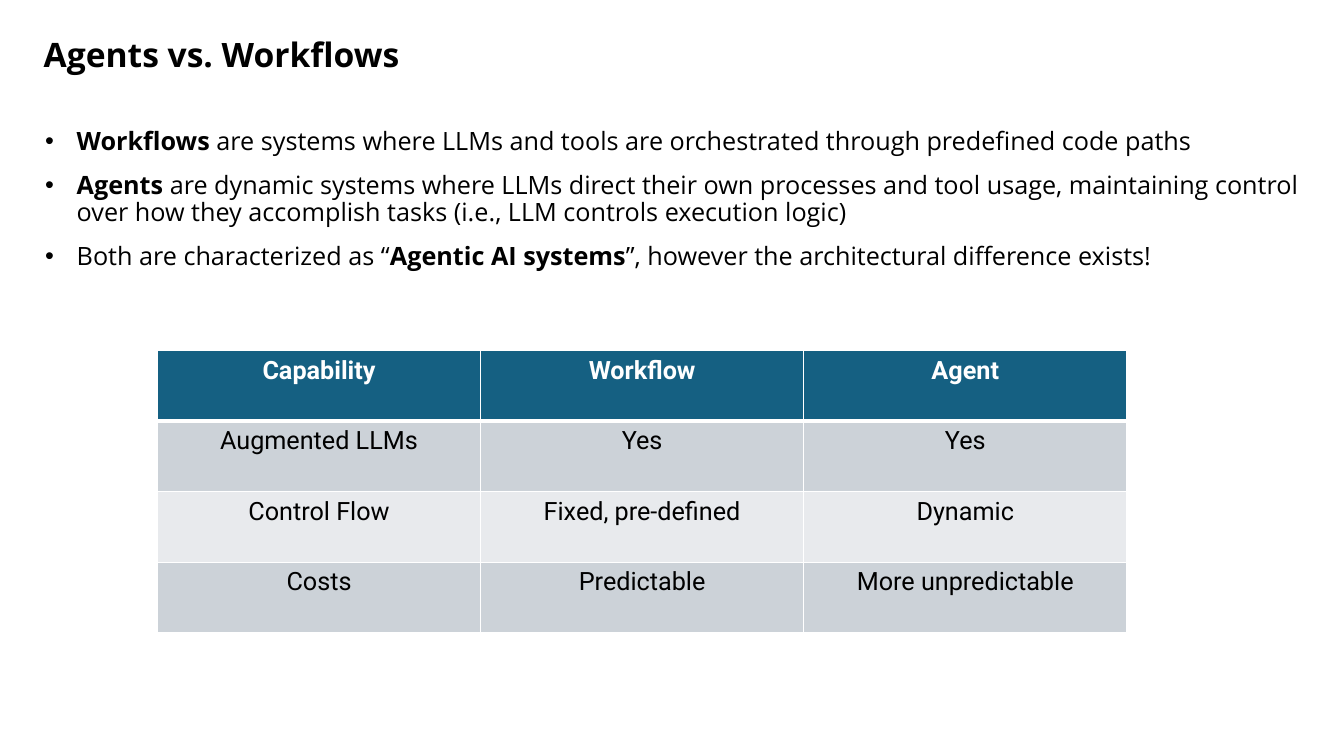
from lxml import etree
from pptx import Presentation, util as u
from pptx.dml.color import RGBColor
from pptx.enum import text
from pptx.oxml import ns

HUES = {"ink": "000000", "white": "FFFFFF", "head": "156082",
        "dark": "CCD2D8", "light": "E8EAED"}


def style(font, face, size, hue, bold=None):
    font.name, font.size, font.bold = face, u.Pt(size), bold
    font.color.rgb = RGBColor.from_string(HUES[hue])


def border(cell, side, width):
    props = cell._tc.get_or_add_tcPr()
    line = etree.SubElement(props, ns.qn("a:" + side), w=str(u.Pt(width)))
    fill = etree.SubElement(line, ns.qn("a:solidFill"))
    etree.SubElement(fill, ns.qn("a:srgbClr"), val=HUES["white"])


deck = Presentation()
deck.slide_width, deck.slide_height = u.Pt(960), u.Pt(540)
slide = deck.slides.add_slide(deck.slide_layouts[5])

# Title
title = slide.shapes.title
title.left, title.top = u.Pt(24), u.Pt(24)
title.width, title.height = u.Pt(924), u.Pt(36)
frame = title.text_frame
frame.text = "Agents vs. Workflows"
frame.auto_size = text.MSO_AUTO_SIZE.NONE
frame.vertical_anchor = text.MSO_ANCHOR.TOP
para = frame.paragraphs[0]
para.alignment = text.PP_ALIGN.LEFT
para.line_spacing = 0.9
style(para.font, "Open Sans", 24, "ink", True)

# Bullets: each is a list of (words, bold) runs
points = [
    [("Workflows ", True),
     ("are systems where LLMs and tools are orchestrated through "
      "predefined code paths", False)],
    [("Agents ", True),
     ("are dynamic systems where LLMs direct their own processes and tool "
      "usage, maintaining control over how they accomplish tasks (i.e., LLM "
      "controls execution logic)", False)],
    [("Both are characterized as “", False), ("Agentic AI systems", True),
     ("”, however the architectural difference exists!", False)],
]
box = slide.shapes.add_textbox(u.Pt(25.2), u.Pt(88.5), u.Pt(910), u.Pt(119))
frame = box.text_frame
frame.word_wrap = True
for i, point in enumerate(points):
    para = frame.add_paragraph() if i else frame.paragraphs[0]
    para.line_spacing = 0.9
    para.space_after = u.Pt(12)
    props = para._p.get_or_add_pPr()
    props.set("marL", str(u.Pt(22.5)))
    props.set("indent", str(u.Pt(-22.5)))
    etree.SubElement(props, ns.qn("a:buFont"), typeface="Arial")
    etree.SubElement(props, ns.qn("a:buChar"), char="•")
    style(para.font, "Open Sans", 18, "ink")
    for words, bold in point:
        run = para.add_run()
        run.text = words
        run.font.bold = bold

# Comparison table
rows = [
    ("Capability", "Workflow", "Agent"),
    ("Augmented LLMs", "Yes", "Yes"),
    ("Control Flow", "Fixed, pre-defined", "Dynamic"),
    ("Costs", "Predictable", "More unpredictable"),
]
fills = ["head", "dark", "light", "dark"]
table = slide.shapes.add_table(
    len(rows), 3, u.Pt(112.5), u.Pt(250.5), u.Pt(692.4), u.Pt(201.6)).table
for r, row in enumerate(rows):
    for c, words in enumerate(row):
        cell = table.cell(r, c)
        cell.text = words
        for side in ("lnL", "lnR", "lnT", "lnB"):
            thick = (r, side) in ((0, "lnB"), (1, "lnT"))
            border(cell, side, 3 if thick else 1)
        cell.fill.solid()
        cell.fill.fore_color.rgb = RGBColor.from_string(HUES[fills[r]])
        para = cell.text_frame.paragraphs[0]
        para.alignment = text.PP_ALIGN.CENTER
        style(para.font, "Roboto", 18, "ink" if r else "white", r == 0)

deck.save("out.pptx")
